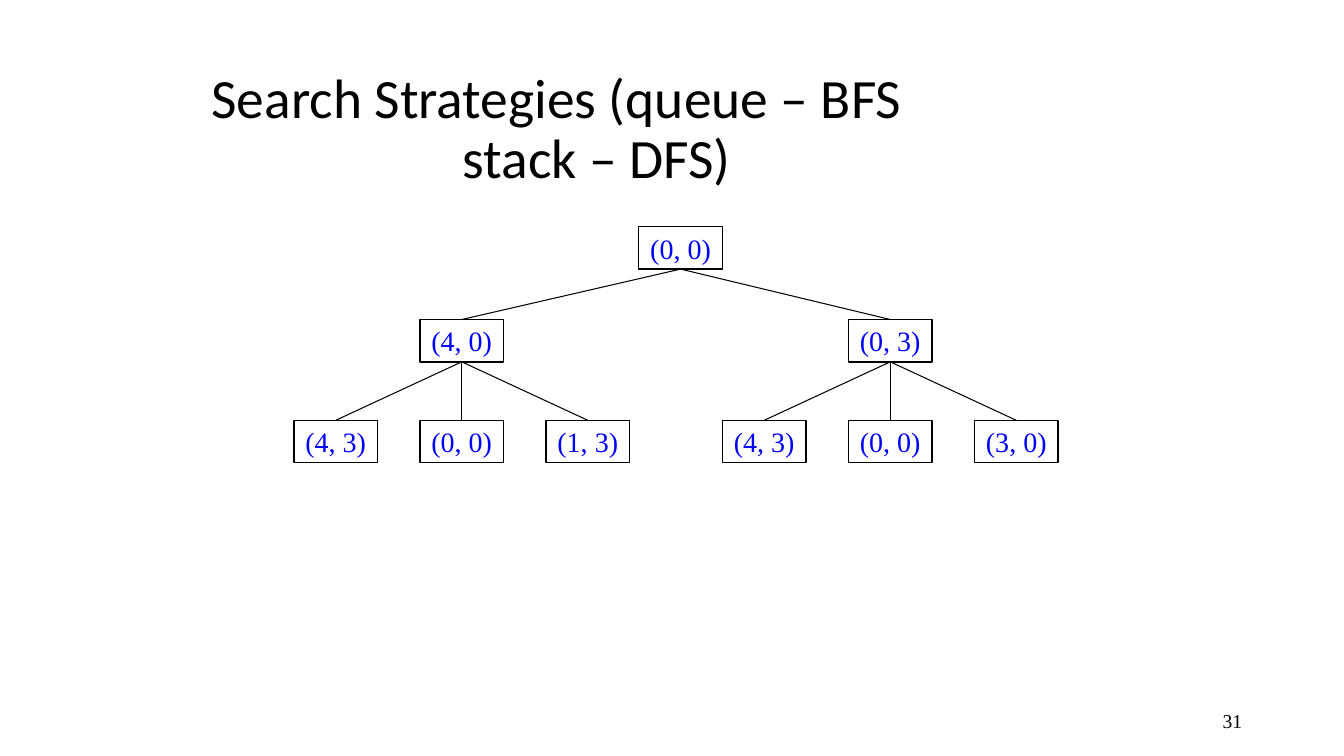
from lxml import etree
from pptx import Presentation
from pptx.dml.color import RGBColor
from pptx.enum.shapes import MSO_CONNECTOR, MSO_SHAPE
from pptx.enum.text import MSO_ANCHOR, PP_ALIGN
from pptx.oxml.ns import qn
from pptx.util import Inches, Pt

BLACK = RGBColor(0x00, 0x00, 0x00)
BLUE = RGBColor(0x00, 0x00, 0xFF)
STRAIGHT = MSO_CONNECTOR.STRAIGHT
RECTANGLE = MSO_SHAPE.RECTANGLE
MIDDLE = MSO_ANCHOR.MIDDLE
CENTER, RIGHT = PP_ALIGN.CENTER, PP_ALIGN.RIGHT

NODE_WIDTH, NODE_HEIGHT = 0.83, 0.42
LEVEL_TOPS = [2.25, 3.17, 4.17]
ROOT_X = 6.75
SIBLING_STEP = 1.25

# Each branch: centre, state, child states from left to right
BRANCHES = [
    (4.58, "(4, 0)", ["(4, 3)", "(0, 0)", "(1, 3)"]),
    (8.83, "(0, 3)", ["(4, 3)", "(0, 0)", "(3, 0)"]),
]

prs = Presentation()
prs.slide_width, prs.slide_height = Inches(13.33), Inches(7.5)
slide = prs.slides.add_slide(prs.slide_layouts[6])


def add_node(state, center_x, level):
    node = slide.shapes.add_shape(
        RECTANGLE, Inches(center_x - NODE_WIDTH / 2), Inches(LEVEL_TOPS[level]),
        Inches(NODE_WIDTH), Inches(NODE_HEIGHT))
    node.shadow.inherit = False
    node.fill.background()
    node.line.color.rgb = BLACK
    node.line.width = Pt(1)
    frame = node.text_frame
    frame.text = state
    frame.word_wrap = False
    frame.vertical_anchor = MIDDLE
    frame.paragraphs[0].alignment = CENTER
    font = frame.paragraphs[0].runs[0].font
    font.name, font.size, font.color.rgb = "Times New Roman", Pt(20), BLUE


def add_edge(parent_x, child_x, child_level):
    parent_bottom = LEVEL_TOPS[child_level - 1] + NODE_HEIGHT
    edge = slide.shapes.add_connector(
        STRAIGHT, Inches(parent_x), Inches(parent_bottom),
        Inches(child_x), Inches(LEVEL_TOPS[child_level]))
    edge.line.color.rgb = BLACK
    edge.line.width = Pt(0.75)
    etree.SubElement(edge._element.spPr, qn("a:effectLst"))


# Page number
page_number = slide.shapes.add_textbox(Inches(9.42), Inches(6.95), Inches(3), Inches(0.4))
page_frame = page_number.text_frame
page_frame.text = "31"
page_frame.word_wrap = True
page_frame.vertical_anchor = MIDDLE
page_frame.paragraphs[0].alignment = RIGHT
page_font = page_frame.paragraphs[0].runs[0].font
page_font.name, page_font.size, page_font.color.rgb = "Times New Roman", Pt(14), BLACK

# Title, second line indented
title = slide.shapes.add_textbox(Inches(2), Inches(0.67), Inches(9.33), Inches(1.25))
title_frame = title.text_frame
title_frame.text = "Search Strategies (queue – BFS\nstack – DFS)"
title_frame.word_wrap = True
title_frame.vertical_anchor = MIDDLE
for line in title_frame.paragraphs:
    line.line_spacing = 0.9
    title_font = line.runs[0].font
    title_font.name, title_font.size, title_font.color.rgb = "Calibri", Pt(39.6), BLACK
title_frame.paragraphs[1]._p.get_or_add_pPr().set("marL", str(Inches(2.49)))

# Search tree
add_node("(0, 0)", ROOT_X, 0)
for branch_x, branch_state, children in BRANCHES:
    add_node(branch_state, branch_x, 1)
    add_edge(ROOT_X, branch_x, 1)
    for position, child_state in enumerate(children):
        child_x = branch_x + (position - 1) * SIBLING_STEP
        add_node(child_state, child_x, 2)
        add_edge(branch_x, child_x, 2)

prs.save("out.pptx")
